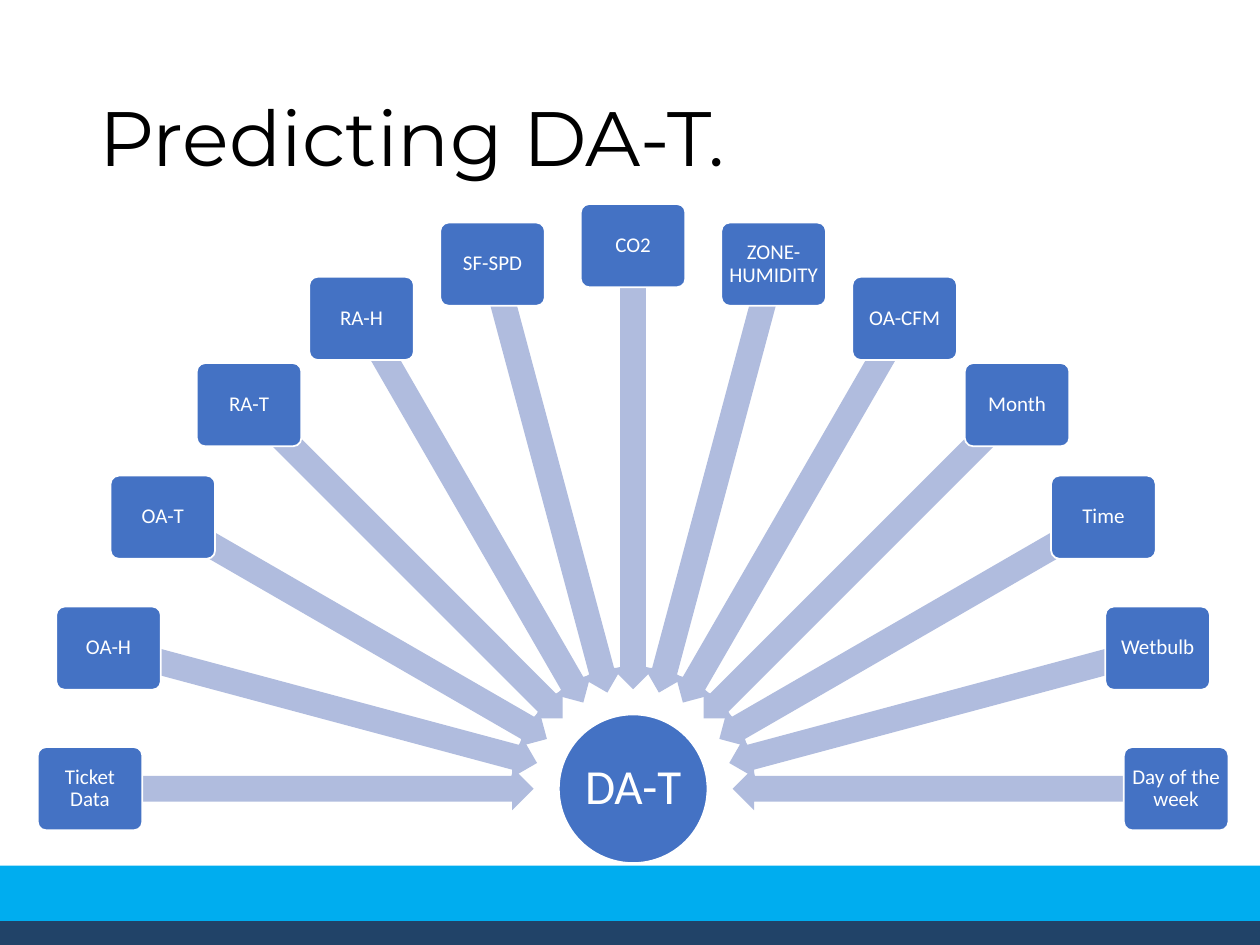
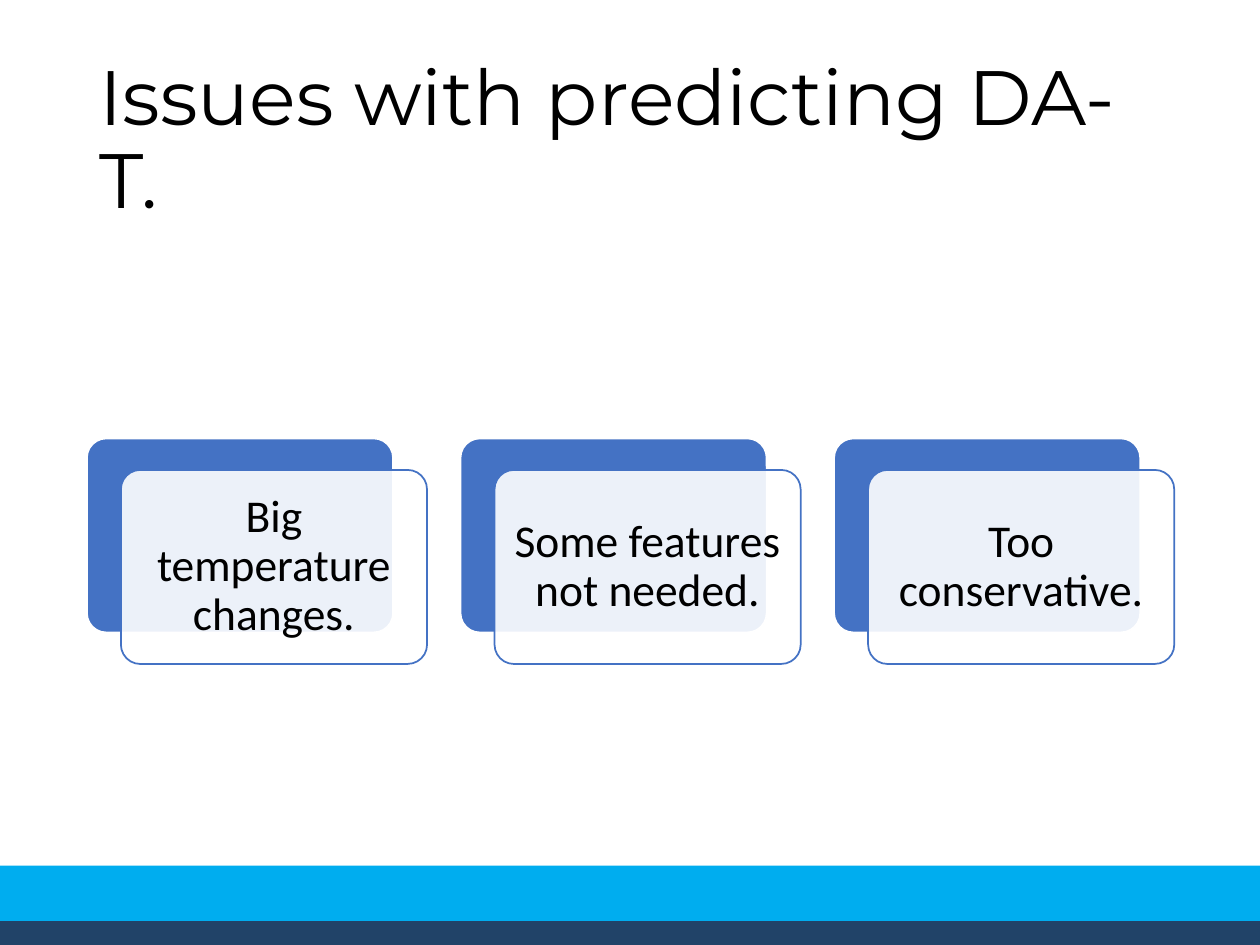
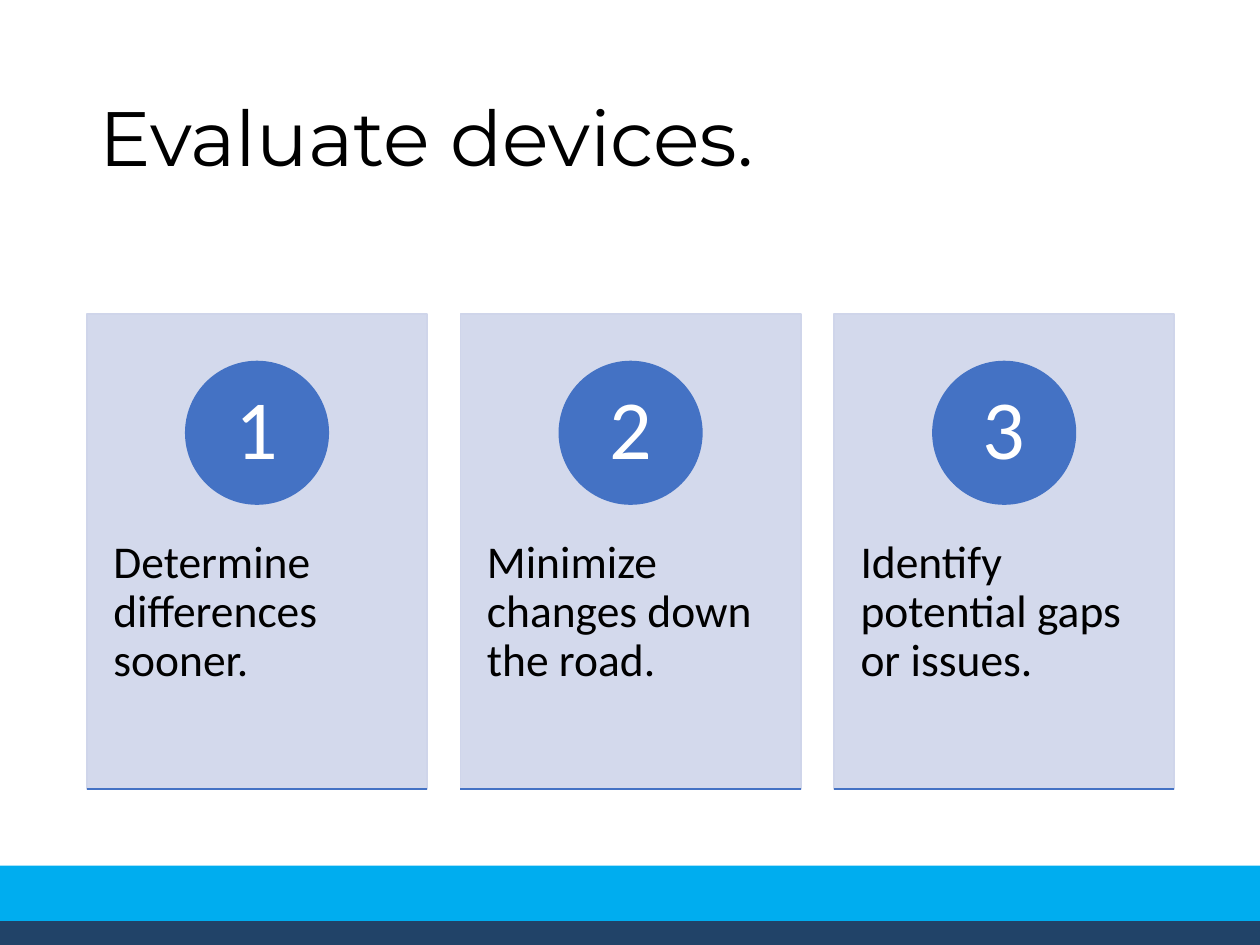
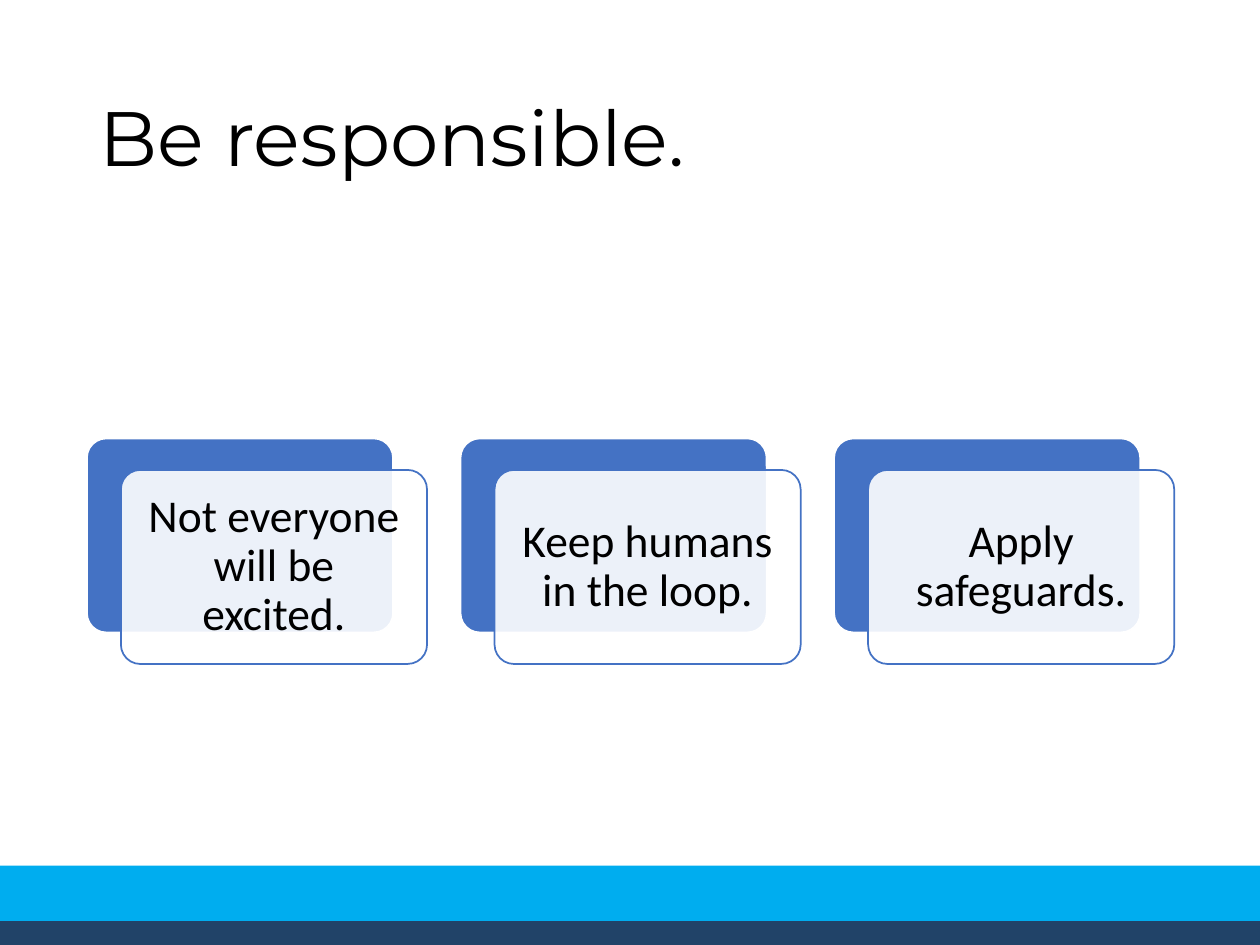
from math import cos, radians, sin

from lxml.etree import SubElement
from pptx import Presentation
from pptx.dml.color import RGBColor
from pptx.enum.shapes import MSO_CONNECTOR, MSO_SHAPE
from pptx.enum.text import MSO_ANCHOR, PP_ALIGN
from pptx.oxml.ns import qn
from pptx.util import Inches, Pt

# Shared style
BLUE, PALE_BLUE, ARROW_BLUE = "4472C4", "CFD5EA", "B0BCDE"
CYAN, NAVY, WHITE, BLACK = "00ADEF", "214368", "FFFFFF", "000000"
TITLE_FONT, BODY_FONT = "Montserrat", "Calibri"
COLUMN_COUNT, COLUMN_WIDTH = 3, 2.7

# Boxes are left, top, width, height in inches
TITLE_BOX = (0.69, 0.4, 8.62, 1.45)
PANEL_BOX = (0.69, 3.48, 8.63, 1.79)
CARD_BOX = (0.69, 2.49, 8.63, 3.77)
FAN_BOX = (0.3, 1.61, 9.45, 5.24)


def color(hex_value):
    return RGBColor.from_string(hex_value)


def add_figure(slide, kind, box, fill, line=None, opacity=None, corner=None):
    """Add a preset shape with a flat fill and an optional outline."""
    shape = slide.shapes.add_shape(kind, *map(Inches, box))
    shape.shadow.inherit = False
    shape.fill.solid()
    shape.fill.fore_color.rgb = color(fill)
    if opacity is not None:
        fill_color = next(shape.element.spPr.iter(qn("a:srgbClr")))
        SubElement(fill_color, qn("a:alpha"), val=str(opacity * 1000))
    if line:
        shape.line.color.rgb = color(line)
        shape.line.width = Pt(1)
    else:
        shape.line.fill.background()
    if corner is not None:
        shape.adjustments[0] = corner
    return shape


def write(shape, text, size, text_color, margins, font=BODY_FONT,
          align=PP_ALIGN.CENTER, anchor=MSO_ANCHOR.MIDDLE):
    """Fill a shape with one paragraph; margins are left/right, top, bottom."""
    frame = shape.text_frame
    frame.text = text
    frame.word_wrap = True
    frame.vertical_anchor = anchor
    side, top, bottom = map(Inches, margins)
    frame.margin_left = frame.margin_right = side
    frame.margin_top, frame.margin_bottom = top, bottom
    paragraph = frame.paragraphs[0]
    paragraph.alignment = align
    paragraph.line_spacing = 0.9
    font_style = paragraph.runs[0].font
    font_style.name, font_style.size = font, Pt(size)
    font_style.color.rgb = color(text_color)


def add_base_slide(presentation, title):
    """Start a slide with the title and the two footer bands."""
    slide = presentation.slides.add_slide(presentation.slide_layouts[6])
    add_figure(slide, MSO_SHAPE.RECTANGLE, (-0.02, 6.87, 10.07, 0.6), CYAN)
    add_figure(slide, MSO_SHAPE.RECTANGLE, (-0.02, 7.31, 10.07, 0.19), NAVY)
    title_box = slide.shapes.add_textbox(*map(Inches, TITLE_BOX))
    write(title_box, title, 44, BLACK, (0.1, 0.05, 0.05), TITLE_FONT, PP_ALIGN.LEFT)
    return slide


def column_lefts(left, width):
    """Left edges of equally spaced columns."""
    step = (width - COLUMN_WIDTH) / (COLUMN_COUNT - 1)
    return [left + index * step for index in range(COLUMN_COUNT)]


def add_fan(slide, box, hub_text, labels):
    """Labels on a half circle, each with an arrow to the hub."""
    left, top, width, height = box
    hub_size, label_width, label_height = 1.18, 0.83, 0.66
    arrow_length, arrow_height, arrow_radius = 3.52, 0.34, 2.55
    center_x, center_y = left + width / 2, top + height - hub_size / 2
    label_radius = (width - label_width) / 2

    def centered(radius, angle, item_width, item_height):
        return (center_x - radius * cos(angle) - item_width / 2,
                center_y - radius * sin(angle) - item_height / 2,
                item_width, item_height)

    hub = add_figure(slide, MSO_SHAPE.OVAL, centered(0, 0, hub_size, hub_size),
                     BLUE, WHITE)
    write(hub, hub_text, 28, WHITE, (0.02, 0.02, 0.02))

    for index, label in enumerate(labels):
        degrees = 180 * index / (len(labels) - 1)
        angle = radians(degrees)
        arrow = add_figure(
            slide, MSO_SHAPE.LEFT_ARROW,
            centered(arrow_radius, angle, arrow_length, arrow_height),
            ARROW_BLUE, corner=0.6)
        arrow.adjustments[1] = 0.5
        arrow.rotation = 180 + degrees
        label_shape = add_figure(
            slide, MSO_SHAPE.ROUNDED_RECTANGLE,
            centered(label_radius, angle, label_width, label_height),
            BLUE, WHITE, corner=0.1)
        write(label_shape, label, 12, WHITE, (0.03, 0.03, 0.03))


def add_panels(slide, box, texts):
    """Blue panels, each under an offset translucent one with text."""
    left, top, width, height = box
    offset_x, offset_y = 0.27, 0.25
    panel_size = (COLUMN_WIDTH - offset_x, height - offset_y)
    for panel_left, text in zip(column_lefts(left, width), texts):
        add_figure(slide, MSO_SHAPE.ROUNDED_RECTANGLE,
                   (panel_left, top, *panel_size), BLUE, WHITE, corner=0.1)
        front = add_figure(
            slide, MSO_SHAPE.ROUNDED_RECTANGLE,
            (panel_left + offset_x, top + offset_y, *panel_size),
            WHITE, BLUE, opacity=90, corner=0.1)
        write(front, text, 26, BLACK, (0.11, 0.11, 0.11))


def add_cards(slide, box, texts):
    """Numbered cards, each closed by a blue line."""
    left, top, width, height = box
    circle_size = 1.13
    for number, (card_left, text) in enumerate(
            zip(column_lefts(left, width), texts), start=1):
        card = add_figure(slide, MSO_SHAPE.RECTANGLE,
                          (card_left, top, COLUMN_WIDTH, height),
                          PALE_BLUE, PALE_BLUE, opacity=90)
        write(card, text, 26, BLACK, (0.21, 1.79, 0.44),
              align=PP_ALIGN.LEFT, anchor=MSO_ANCHOR.TOP)
        circle_left = card_left + (COLUMN_WIDTH - circle_size) / 2
        circle = add_figure(slide, MSO_SHAPE.OVAL,
                            (circle_left, top + 0.38, circle_size, circle_size),
                            BLUE, BLUE)
        write(circle, str(number), 48, WHITE, (0.09, 0.01, 0.01))
        bottom = top + height
        rule = slide.shapes.add_connector(
            MSO_CONNECTOR.STRAIGHT,
            *map(Inches, (card_left, bottom, card_left + COLUMN_WIDTH, bottom)))
        rule.line.color.rgb = color(BLUE)
        rule.line.width = Pt(1)
        SubElement(rule.element.spPr, qn("a:effectLst"))


def main():
    presentation = Presentation()
    presentation.slide_width, presentation.slide_height = Inches(10), Inches(7.5)

    add_fan(add_base_slide(presentation, "Predicting DA-T."), FAN_BOX, "DA-T",
            ["Ticket Data", "OA-H", "OA-T", "RA-T", "RA-H", "SF-SPD", "CO2",
             "ZONE-HUMIDITY", "OA-CFM", "Month", "Time", "Wetbulb",
             "Day of the week"])
    add_panels(add_base_slide(presentation, "Issues with predicting DA-T."), PANEL_BOX,
               ["Big temperature changes.", "Some features not needed.",
                "Too conservative."])
    add_cards(add_base_slide(presentation, "Evaluate devices."), CARD_BOX,
              ["Determine differences sooner.", "Minimize changes down the road.",
               "Identify potential gaps or issues."])
    add_panels(add_base_slide(presentation, "Be responsible."), PANEL_BOX,
               ["Not everyone will be excited.", "Keep humans in the loop.",
                "Apply safeguards."])

    presentation.save("out.pptx")


if __name__ == "__main__":
    main()
